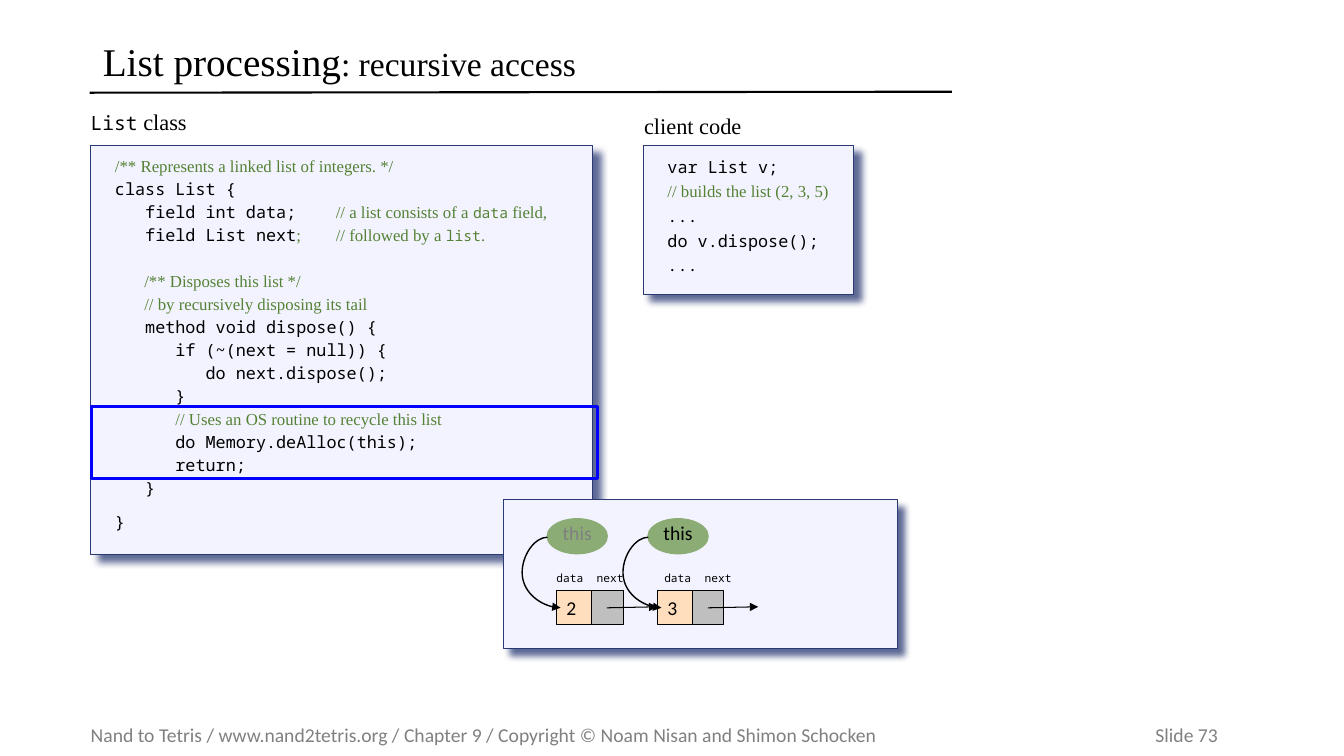
from dataclasses import dataclass
from typing import NamedTuple, Optional

import lxml.etree
import pptx
import pptx.dml.color
import pptx.enum.shapes
import pptx.enum.text
import pptx.oxml.ns
import pptx.util

Inches = pptx.util.Inches
Pt = pptx.util.Pt
Anchor = pptx.enum.text.MSO_ANCHOR
Align = pptx.enum.text.PP_ALIGN
Preset = pptx.enum.shapes.MSO_SHAPE
Connector = pptx.enum.shapes.MSO_CONNECTOR


class Style(NamedTuple):
    font: str
    size: float
    color: str


@dataclass(frozen=True)
class Theme:
    panel: str = "F3F3FF"
    navy: str = "293973"
    black: str = "000000"
    data_cell: str = "FFDEBD"
    next_cell: str = "BFBFBF"
    reference: str = "8BAC75"
    highlight: str = "0000FF"
    title: Style = Style("Times New Roman", 28, "000000")
    subtitle: Style = Style("Times New Roman", 24, "000000")
    heading: Style = Style("Times New Roman", 16, "000000")
    heading_code: Style = Style("Noto Sans Mono", 14, "000000")
    code: Style = Style("Noto Sans Mono", 12, "000000")
    comment: Style = Style("Times New Roman", 12, "548235")
    comment_code: Style = Style("Noto Sans Mono", 10.5, "548235")
    label: Style = Style("Noto Sans Mono", 8, "000000")
    value: Style = Style("Calibri", 14, "000000")
    muted: Style = Style("Calibri", 14, "808080")


THEME = Theme()


class Span(NamedTuple):
    text: str
    style: Style = THEME.code


class Line(NamedTuple):
    spans: list[Span]
    before: Optional[float] = None
    tab: Optional[float] = None


class Box(NamedTuple):
    left: float
    top: float
    width: float
    height: float


class Node(NamedTuple):
    value: str
    left: float
    this_style: Style


def code(text: str, before: Optional[float] = None) -> Line:
    return Line([Span(text)], before)


def comment(text: str, before: Optional[float] = None) -> Line:
    return Line([Span(text, THEME.comment)], before)


COMMENT_TAB = 2.19
LIST_CLASS = [
    comment("/** Represents a linked list of integers. */"),
    code("class List {"),
    Line([Span("   field int data;\t"), Span("// a list consists of a ", THEME.comment),
          Span("data", THEME.comment_code), Span(" field,", THEME.comment)], tab=COMMENT_TAB),
    Line([Span("   field List next"), Span(";\t// followed by a ", THEME.comment),
          Span("list", THEME.comment_code), Span(".", THEME.comment)], tab=COMMENT_TAB),
    comment("       /** Disposes this list */", before=18.4),
    comment("       // by recursively disposing its tail"),
    code("   method void dispose() {"),
    code("      if (~(next = null)) {"),
    code("         do next.dispose();"),
    code("      }"),
    Line([Span("      "), Span("// Uses an OS routine to recycle this list", THEME.comment)]),
    code("      do Memory.deAlloc(this);"),
    code("      return;"),
    code("   }"),
    code("}", before=10),
]
CLIENT_CODE = [
    code("var List v;"),
    comment("// builds the list (2, 3, 5)"),
    code("..."),
    code("do v.dispose();"),
    code("..."),
]
NODES = [Node("2", 5.52, THEME.muted), Node("3", 6.52, THEME.value)]
CELL_TOP, CELL_HEIGHT = 5.86, 0.34


def rgb(color: str) -> pptx.dml.color.RGBColor:
    return pptx.dml.color.RGBColor.from_string(color)


def add_child(parent, tag: str, **attributes: str):
    return lxml.etree.SubElement(parent, pptx.oxml.ns.qn(tag), attributes)


def write(shape, lines: list[Line], margins=(0.1, 0.05, 0.1, 0.05), anchor=Anchor.TOP,
          align=Align.LEFT, spacing=None, before: float = 0) -> None:
    frame = shape.text_frame
    frame.word_wrap = True
    frame.vertical_anchor = anchor
    frame.margin_left, frame.margin_top, frame.margin_right, frame.margin_bottom = map(Inches, margins)
    for index, line in enumerate(lines):
        paragraph = frame.add_paragraph() if index else frame.paragraphs[0]
        paragraph.alignment = align
        if spacing is not None:
            paragraph.line_spacing = spacing
        if index:
            paragraph.space_before = Pt(before if line.before is None else line.before)
        if line.tab:
            tabs = add_child(paragraph._p.get_or_add_pPr(), "a:tabLst")
            add_child(tabs, "a:tab", pos=str(Inches(line.tab)), algn="l")
        for span in line.spans:
            run = paragraph.add_run()
            run.text = span.text
            run.font.name = span.style.font
            run.font.size = Pt(span.style.size)
            run.font.color.rgb = rgb(span.style.color)


def add_text(slide, box: Box, spans: list[Span], tab: Optional[float] = None, **layout) -> None:
    write(slide.shapes.add_textbox(*map(Inches, box)), [Line(spans, tab=tab)], **layout)


def add_box(slide, box: Box, fill: Optional[str], outline: Optional[str] = THEME.black,
            width: float = 0.75, preset=Preset.RECTANGLE):
    shape = slide.shapes.add_shape(preset, *map(Inches, box))
    shape.shadow.inherit = False
    if fill:
        shape.fill.solid()
        shape.fill.fore_color.rgb = rgb(fill)
    else:
        shape.fill.background()
    if outline:
        shape.line.color.rgb = rgb(outline)
        shape.line.width = Pt(width)
    else:
        shape.line.fill.background()
    return shape


def add_panel(slide, box: Box):
    shape = add_box(slide, box, THEME.panel, THEME.navy)
    effects = shape._element.spPr.find(pptx.oxml.ns.qn("a:effectLst"))
    shadow = add_child(effects, "a:outerShdw", blurRad=str(Pt(5)), dist=str(Pt(7.1)),
                       dir="2700000", algn="tl", rotWithShape="0")
    add_child(add_child(shadow, "a:srgbClr", val=THEME.navy), "a:alpha", val="75000")
    return shape


def add_line(slide, start: tuple[float, float], end: tuple[float, float], width: float = 0.75,
             kind=Connector.STRAIGHT, arrow: bool = True):
    connector = slide.shapes.add_connector(kind, *map(Inches, (*start, *end)))
    connector.line.color.rgb = rgb(THEME.black)
    connector.line.width = Pt(width)
    if arrow:
        add_child(connector.line._get_or_add_ln(), "a:tailEnd", type="triangle")
    add_child(connector._element.spPr, "a:effectLst")
    return connector


def add_node(slide, node: Node) -> None:
    data = add_box(slide, Box(node.left, CELL_TOP, 0.41, CELL_HEIGHT), THEME.data_cell)
    write(data, [Line([Span(node.value, THEME.value)])], anchor=Anchor.MIDDLE)
    add_box(slide, Box(node.left + 0.35, CELL_TOP, 0.31, CELL_HEIGHT), THEME.next_cell)
    add_line(slide, (node.left + 0.5, 6.03), (node.left + 1, 6.02))


def add_reference(slide, node: Node) -> None:
    left = node.left - 0.1
    ellipse = add_box(slide, Box(left, 5.14, 0.61, 0.36), THEME.reference, None, preset=Preset.OVAL)
    write(ellipse, [Line([Span("this", node.this_style)])], (0, 0.05, 0, 0.05), Anchor.BOTTOM, Align.CENTER)
    curve = add_line(slide, (left + 0.01, 5.33), (left + 0.14, 6.03), 1, Connector.CURVE)
    adjustments = curve._element.spPr.find(".//" + pptx.oxml.ns.qn("a:avLst"))
    add_child(adjustments, "a:gd", name="adj1", fmla="val -193300")


def main() -> None:
    presentation = pptx.Presentation()
    presentation.slide_width, presentation.slide_height = Inches(13.33), Inches(7.5)
    slide = presentation.slides.add_slide(presentation.slide_layouts[5])

    title = slide.shapes.title
    title.left, title.top, title.width, title.height = map(Inches, (0.92, 0.32, 8.53, 0.63))
    write(title, [Line([Span("List processing", THEME.title), Span(": recursive access", THEME.subtitle)])],
          anchor=Anchor.MIDDLE, spacing=0.9)
    add_line(slide, (0.89, 0.92), (9.44, 0.91), 1.5, arrow=False)
    add_text(slide, Box(0.9, 7.12, 12.25, 0.34),
             [Span("Nand to Tetris / www.nand2tetris.org / Chapter 9 / "
                   "Copyright © Noam Nisan and Shimon Schocken\tSlide 73", THEME.muted)],
             tab=10.56, margins=(0, 0.05, 0, 0.05), anchor=Anchor.MIDDLE)

    code_margins = (0.24, 0.11, 0.1, 0.11)
    add_text(slide, Box(0.8, 1.02, 1.6, 0.42), [Span("List", THEME.heading_code), Span(" class", THEME.heading)])
    write(add_panel(slide, Box(0.9, 1.44, 4.98, 4.06)), LIST_CLASS, code_margins, spacing=Pt(14.4), before=2)

    add_panel(slide, Box(4.99, 4.96, 3.91, 1.47))
    for node in NODES:
        add_node(slide, node)
    for left, label in zip((5.42, 5.82, 6.49, 6.89), ("data", "next") * 2):
        add_text(slide, Box(left, 5.62, 0.6, 0.25), [Span(label, THEME.label)])
    for node in NODES:
        add_reference(slide, node)

    write(add_panel(slide, Box(6.38, 1.44, 2.09, 1.48)), CLIENT_CODE, code_margins, spacing=Pt(14.6), before=3)
    add_text(slide, Box(6.29, 1.06, 1.6, 0.42), [Span("client code", THEME.heading)])
    add_box(slide, Box(0.91, 4.03, 5.02, 0.72), None, THEME.highlight, 2)
    presentation.save("out.pptx")


if __name__ == "__main__":
    main()
